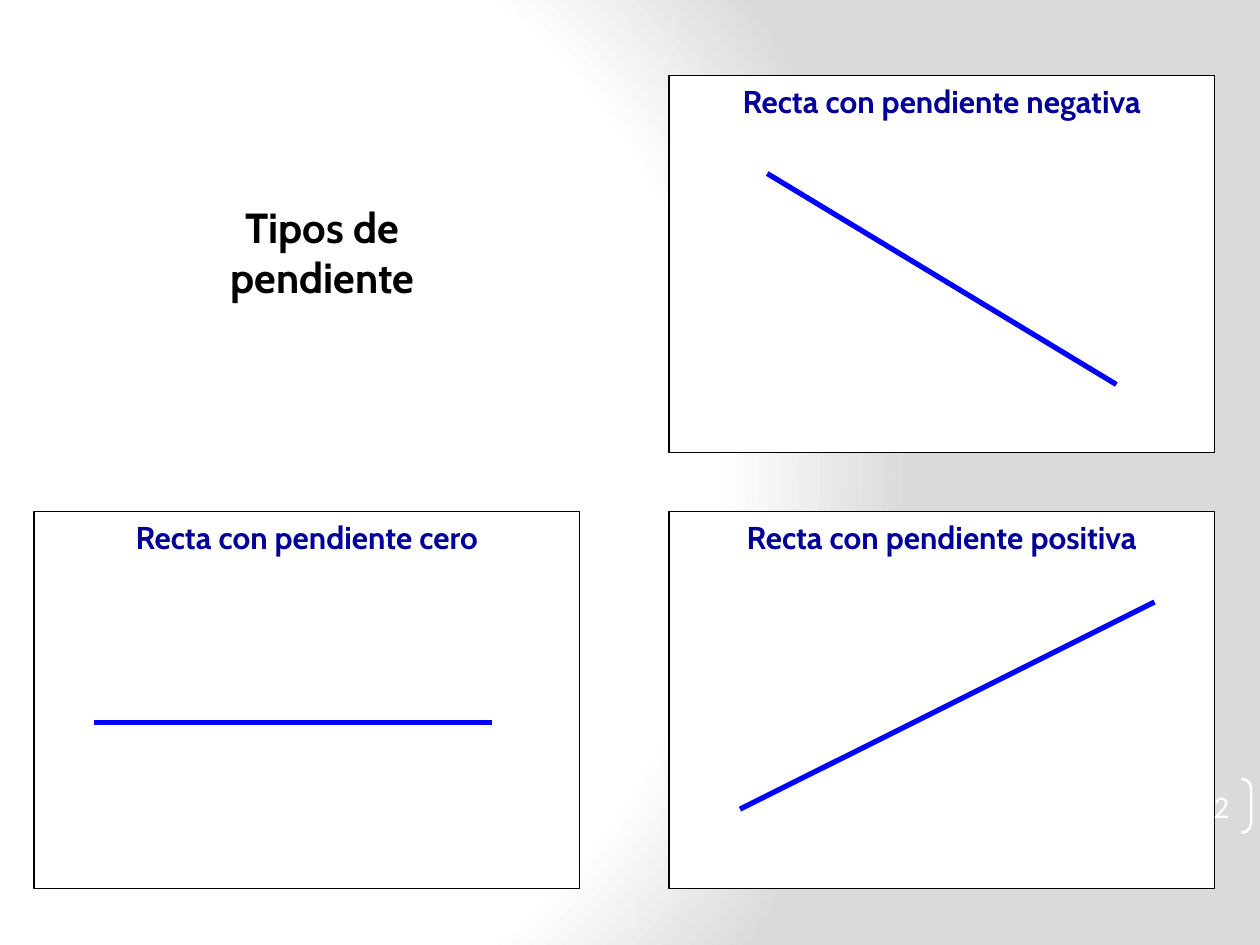
from pptx import Presentation
from pptx.dml.color import RGBColor
from pptx.enum.shapes import MSO_CONNECTOR as Connector, MSO_SHAPE as Shape
from pptx.enum.text import MSO_ANCHOR as Anchor, PP_ALIGN as Align
from pptx.oxml import parse_xml
from pptx.oxml.ns import nsdecls
from pptx.util import Inches, Pt
from lxml.etree import SubElement

WHITE = RGBColor(0xFF, 0xFF, 0xFF)
GRAY = RGBColor(0xDA, 0xDA, 0xDA)
BLACK = RGBColor(0, 0, 0)
NAVY = RGBColor(0, 0, 0x99)
BLUE = RGBColor(0, 0, 0xFF)

# Panel grid, in inches
GRID_LEFT, GRID_TOP = 0.27, 0.6
PANEL_WIDTH, PANEL_HEIGHT = 4.33, 2.99
COLUMN_STEP, ROW_STEP = 5.04, 3.46

# Column, row, caption, then line start and end as shares of the panel
PANELS = [
    (1, 0, "Recta con pendiente negativa", (0.18, 0.26), (0.82, 0.82)),
    (0, 1, "Recta con pendiente cero", (0.11, 0.56), (0.84, 0.56)),
    (1, 1, "Recta con pendiente positiva", (0.13, 0.79), (0.89, 0.24)),
]


def set_background(page):
    """Radial gradient, white to gray, centred left of the middle."""
    stops = "".join(
        f'<a:gs pos="{share * 1000}"><a:srgbClr val="{color}"/></a:gs>'
        for share, color in [(0, WHITE), (75, WHITE), (100, GRAY)])
    background = parse_xml(
        f'<p:bg {nsdecls("p", "a")}><p:bgPr><a:gradFill rotWithShape="1">'
        f'<a:gsLst>{stops}</a:gsLst><a:path path="circle">'
        '<a:fillToRect l="20000" t="50000" r="100000" b="50000"/></a:path>'
        '</a:gradFill><a:effectLst/></p:bgPr></p:bg>')
    page.element.cSld.insert(0, background)


def write_text(shape, text, *, size, color, font="Cabin", bold=True,
               wrap=True, anchor=Anchor.TOP, inset=None):
    frame = shape.text_frame
    frame.word_wrap = wrap
    frame.vertical_anchor = anchor
    if inset is not None:
        frame.margin_left = frame.margin_right = Inches(inset)
        frame.margin_top = frame.margin_bottom = Inches(inset)
    para = frame.paragraphs[0]
    para.alignment = Align.CENTER
    span = para.add_run()
    span.text = text
    span.font.name, span.font.size, span.font.bold = font, Pt(size), bold
    span.font.color.rgb = color


def add_box(page, kind, left, top, width, height, *, line, weight, fill=None):
    box = page.shapes.add_shape(kind, *map(Inches, (left, top, width, height)))
    box.shadow.inherit = False
    if fill is None:
        box.fill.background()
    else:
        box.fill.solid()
        box.fill.fore_color.rgb = fill
    box.line.color.rgb = line
    box.line.width = Pt(weight)
    return box


def add_panel(page, column, row, caption, start, end):
    left = GRID_LEFT + column * COLUMN_STEP
    top = GRID_TOP + row * ROW_STEP
    panel = add_box(page, Shape.RECTANGLE, left, top, PANEL_WIDTH,
                    PANEL_HEIGHT, line=BLACK, weight=0.75, fill=WHITE)
    write_text(panel, caption, size=18, color=NAVY, wrap=False)

    # Sloped line inside the panel
    ends = [Inches(length) for x, y in (start, end)
            for length in (left + x * PANEL_WIDTH, top + y * PANEL_HEIGHT)]
    slope = page.shapes.add_connector(Connector.STRAIGHT, *ends)
    slope.line.color.rgb = BLUE
    slope.line.width = Pt(3)
    SubElement(slope.element.spPr,
               "{http://schemas.openxmlformats.org/drawingml/2006/main}effectLst")


def add_title(page):
    title = page.shapes.add_textbox(*map(Inches, (1.38, 1.55, 2.36, 0.9)))
    write_text(title, "Tipos de pendiente", size=24, color=BLACK)


def add_page_number(page):
    bracket = add_box(page, Shape.DOUBLE_BRACKET, 9.33, 6.18, 0.6, 0.43,
                      line=WHITE, weight=1.5)
    bracket.adjustments[0] = 0.18
    write_text(bracket, "12", size=18, color=WHITE, font="Calibri",
               bold=False, anchor=Anchor.MIDDLE, inset=0)


def main():
    deck = Presentation()
    deck.slide_width, deck.slide_height = Inches(10), Inches(7.5)
    page = deck.slides.add_slide(deck.slide_layouts[6])
    set_background(page)
    for panel in PANELS:
        add_panel(page, *panel)
    add_title(page)
    add_page_number(page)
    deck.save("out.pptx")


if __name__ == "__main__":
    main()
